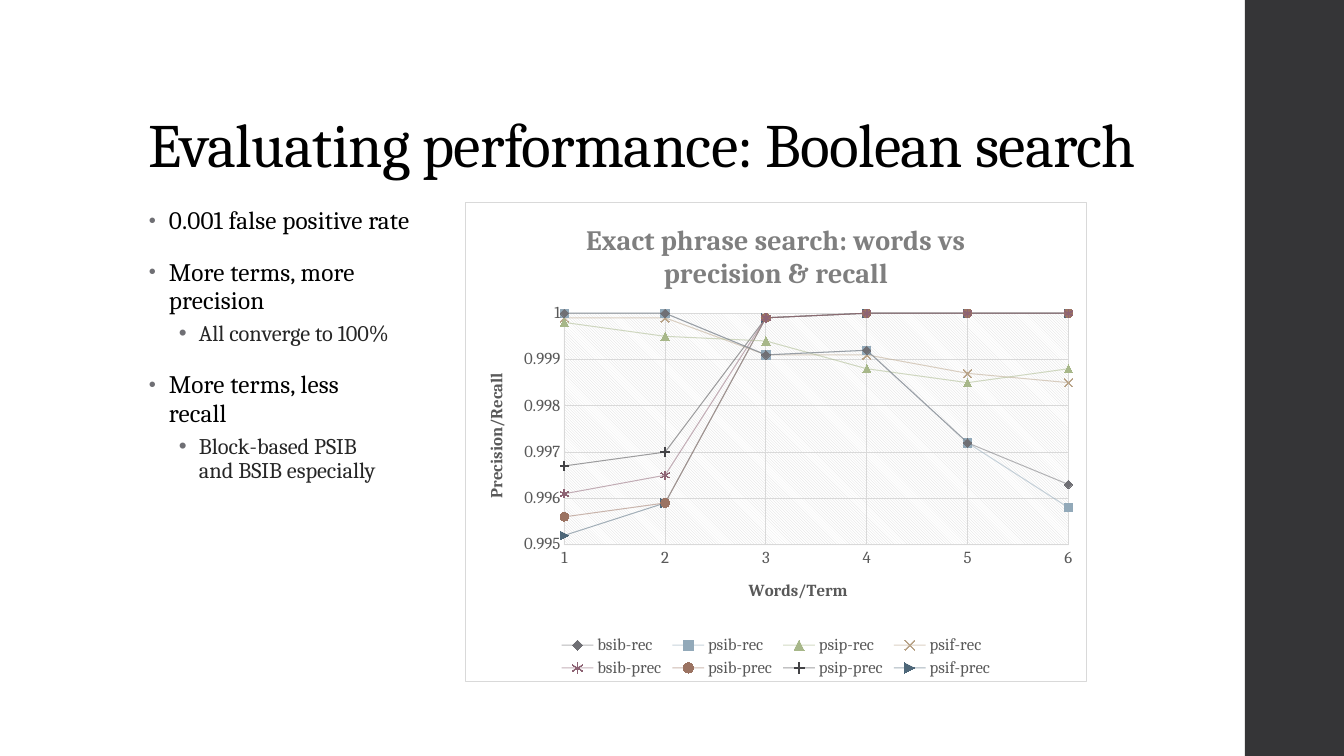
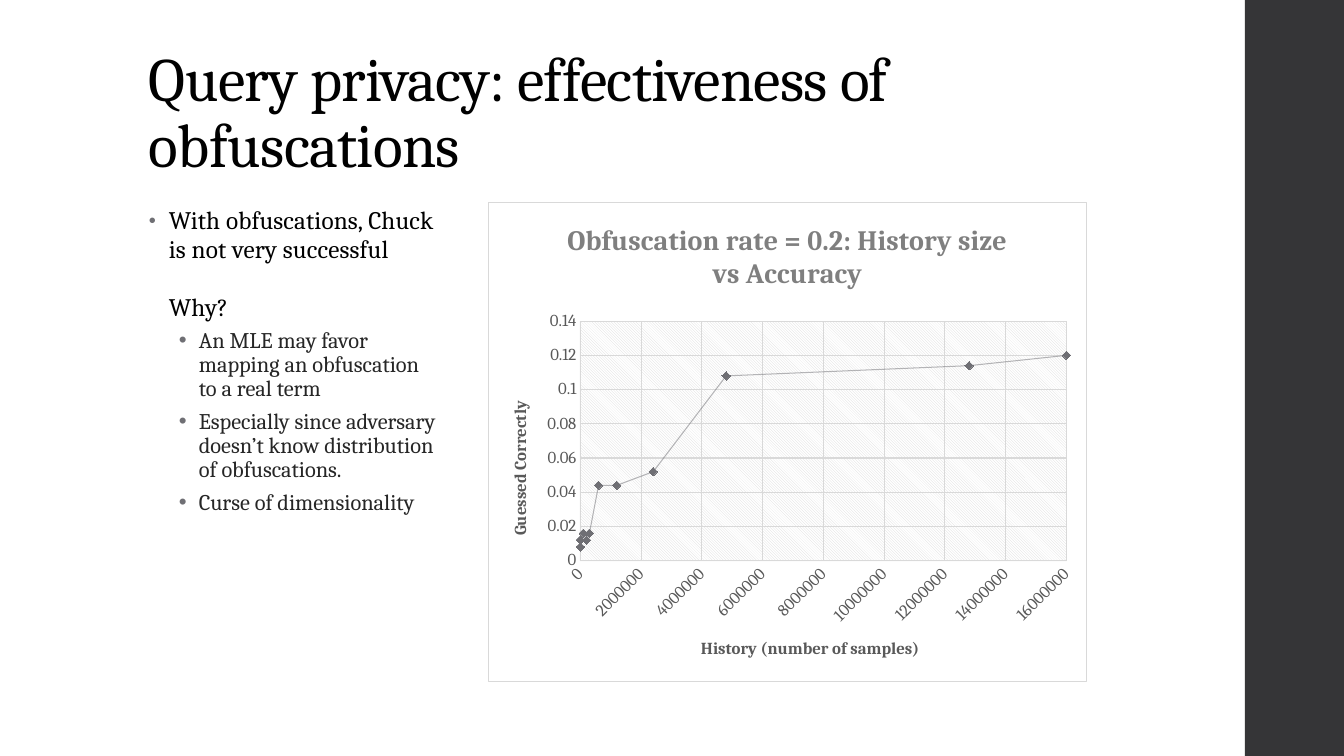
from copy import deepcopy
from dataclasses import dataclass

from lxml import etree
from pptx import Presentation
from pptx import util as u
from pptx.chart.data import XyChartData
from pptx.dml.color import RGBColor
from pptx.enum import chart as charts, shapes, text
from pptx.oxml import parse_xml
from pptx.oxml.ns import nsdecls, qn

PX = 914400 / 100.8


@dataclass(frozen=True)
class Theme:
    font: str = "Cambria"
    paper: str = "FFFFFF"
    band: str = "353537"
    ink: str = "000000"
    detail: str = "262626"
    bullet: str = "6F6F74"
    chart_title: str = "7F7F7F"
    axis: str = "595959"
    grid: str = "D9D9D9"
    title_size: int = 44
    chart_title_size: int = 20
    axis_size: int = 12
    hairline: float = 0.75
    marker_size: int = 6


THEME = Theme()

# Per outline level: size, colour, tracking, left indent, line spacing, before, after, bullet %
LEVELS = (
    (18, THEME.ink, 10, 20, 0.95, 14, 2, 80),
    (16, THEME.detail, 0, 50, 0.9, 3, 3, 100),
)
HANGING = 20

# left, top, width, height
SLIDE_SIZE = (1344, 756)
BAND_BOX = (1245, 0, 99, 756)
TITLE_BOX = (139, 40, 1068, 146)
BODY_BOX = (139, 202, 948, 480)

MARK = charts.XL_MARKER_STYLE
WORDS = (1, 2, 3, 4, 5, 6)
HISTORY = (0,) * 10 + (100000, 200000, 300000, 600000, 1200000, 2400000,
                       4800000, 12800000, 16000000)

# Series: name, colour, marker, x values, y values
SLIDES = [
    {
        "title": "Evaluating performance: Boolean search",
        "body": [
            (0, "0.001 false positive rate"),
            (0, "More terms, more\nprecision"),
            (1, "All converge to 100%"),
            (0, "More terms, less\nrecall"),
            (1, "Block-based PSIB\nand BSIB especially"),
        ],
        "chart": {
            "title": "Exact phrase search: words vs precision & recall",
            "box": (465, 202, 622, 480),
            "plot": (564, 313, 505, 232),
            "x": ("Words/Term", 1, 6, 1, 0),
            "y": ("Precision/Recall", 0.995, 1, 0.001, -90),
            "legend": True,
            "series": [
                ("bsib-rec", "6F6F74", MARK.DIAMOND, WORDS,
                 (1, 1, 0.9991, 0.9992, 0.9972, 0.9963)),
                ("psib-rec", "92A9B9", MARK.SQUARE, WORDS,
                 (1, 1, 0.9991, 0.9992, 0.9972, 0.9958)),
                ("psip-rec", "A7B789", MARK.TRIANGLE, WORDS,
                 (0.9998, 0.9995, 0.9994, 0.9988, 0.9985, 0.9988)),
                ("psif-rec", "B9A489", MARK.X, WORDS,
                 (0.9999, 0.9999, 0.9991, 0.9991, 0.9987, 0.9985)),
                ("bsib-prec", "8D6374", MARK.STAR, WORDS,
                 (0.9961, 0.9965, 0.9999, 1, 1, 1)),
                ("psib-prec", "9B7362", MARK.CIRCLE, WORDS,
                 (0.9956, 0.9959, 0.9999, 1, 1, 1)),
                ("psip-prec", "434346", MARK.PLUS, WORDS,
                 (0.9967, 0.997, 0.9999, 1, 1, 1)),
                ("psif-prec", "4E6779", MARK.DOT, WORDS,
                 (0.9952, 0.9959, 0.9999, 1, 1, 1)),
            ],
        },
    },
    {
        "title": "Query privacy: effectiveness of obfuscations",
        "body": [
            (0, "With obfuscations, Chuck\nis not very successful\n\nWhy?"),
            (1, "An MLE may favor\nmapping an obfuscation\nto a real term"),
            (1, "Especially since adversary\ndoesn’t know distribution\nof obfuscations."),
            (1, "Curse of dimensionality"),
        ],
        "chart": {
            "title": "Obfuscation rate = 0.2: History size vs Accuracy",
            "box": (488, 202, 599, 480),
            "plot": (580, 321, 487, 240),
            "x": ("History (number of samples)", 0, 16000000, 2000000, -45),
            "y": ("Guessed Correctly", 0, 0.14, 0.02, -90),
            "legend": False,
            "series": [
                ("Series 1", "6F6F74", MARK.DIAMOND, HISTORY,
                 (0.008, 0.008, 0.008, 0.008, 0.012, 0.012, 0.008, 0.008, 0.012, 0.012,
                  0.016, 0.012, 0.016, 0.044, 0.044, 0.052, 0.108, 0.114, 0.12)),
            ],
        },
    },
]


def emu(*lengths):
    return [u.Emu(round(length * PX)) for length in lengths]


def style_font(font, size, color, bold=False):
    font.name, font.size, font.bold = THEME.font, u.Pt(size), bold
    font.color.rgb = RGBColor.from_string(color)


def style_line(line, color, alpha=None):
    line.width = u.Pt(THEME.hairline)
    line.color.rgb = RGBColor.from_string(color)
    if alpha:
        srgb = line.fill._xPr.find(".//" + qn("a:srgbClr"))
        etree.SubElement(srgb, qn("a:alpha")).set("val", str(alpha * 1000))


def style_runs(paragraph, size, color, tracking):
    """Format the runs, and give line breaks the same character properties."""
    for run in paragraph.runs:
        style_font(run.font, size, color)
        run.font._element.set("spc", str(tracking))
    for line_break in paragraph._p.findall(qn("a:br")):
        line_break.insert(0, deepcopy(paragraph.runs[0].font._element))


def add_band(slide):
    band = slide.shapes.add_shape(shapes.MSO_SHAPE.RECTANGLE, *emu(*BAND_BOX))
    band.shadow.inherit = False
    band.fill.solid()
    band.fill.fore_color.rgb = RGBColor.from_string(THEME.band)
    band.line.fill.background()


def add_title(slide, wording):
    frame = slide.shapes.add_textbox(*emu(*TITLE_BOX)).text_frame
    frame.word_wrap = True
    frame.vertical_anchor = text.MSO_ANCHOR.BOTTOM
    frame.text = wording
    frame.paragraphs[0].line_spacing = 0.9
    style_runs(frame.paragraphs[0], THEME.title_size, THEME.ink, -50)


def add_body(slide, points):
    frame = slide.shapes.add_textbox(*emu(*BODY_BOX)).text_frame
    frame.word_wrap = True
    for index, (level, wording) in enumerate(points):
        point = frame.add_paragraph() if index else frame.paragraphs[0]
        size, color, tracking, indent, spacing, before, after, percent = LEVELS[level]
        point.text, point.level = wording, level
        point.line_spacing = spacing
        point.space_before, point.space_after = u.Pt(before), u.Pt(after)
        style_runs(point, size, color, tracking)
        left, hanging = emu(indent, HANGING)
        props = point._p.get_or_add_pPr()
        props.set("marL", str(left))
        props.set("indent", str(-hanging))
        bullet_color = etree.SubElement(props, qn("a:buClr"))
        etree.SubElement(bullet_color, qn("a:srgbClr")).set("val", THEME.bullet)
        for tag, key, value in (("a:buSzPct", "val", str(percent * 1000)),
                                ("a:buFont", "typeface", "Arial"),
                                ("a:buChar", "char", "•")):
            etree.SubElement(props, qn(tag)).set(key, value)


def style_axis(axis, wording, low, high, step, rotation):
    """Set scale, lines and labels; rotation turns the x labels or the y title."""
    axis.minimum_scale, axis.maximum_scale, axis.major_unit = low, high, step
    axis.major_tick_mark = axis.minor_tick_mark = charts.XL_TICK_MARK.NONE
    axis.has_major_gridlines = True
    style_line(axis.major_gridlines.format.line, THEME.grid)
    style_line(axis.format.line, THEME.grid, 54)
    axis.tick_labels.number_format = "General"
    axis.tick_labels.number_format_is_linked = False
    style_font(axis.tick_labels.font, THEME.axis_size, THEME.axis)
    title = axis.axis_title.text_frame
    title.text = wording
    style_font(title.paragraphs[0].runs[0].font, THEME.axis_size, THEME.axis, True)
    vertical = rotation == -90
    turned = title._txBody if vertical else axis._element.find(qn("c:txPr"))
    turned.find(qn("a:bodyPr")).set("rot", str(rotation * 60000))


def set_plot_area(chart, box, plot):
    """Fix the inner plot rectangle and fill it with a light hatch."""
    area = chart._chartSpace.chart.plotArea
    for layout in area.findall(qn("c:layout")):
        area.remove(layout)
    fractions = ((plot[0] - box[0]) / box[2], (plot[1] - box[1]) / box[3],
                 plot[2] / box[2], plot[3] / box[3])
    sides = "".join(f'<c:{side} val="{value:.4f}"/>' for side, value in zip("xywh", fractions))
    area.insert(0, parse_xml(
        f'<c:layout {nsdecls("c")}><c:manualLayout><c:layoutTarget val="inner"/>'
        f'<c:xMode val="edge"/><c:yMode val="edge"/>{sides}</c:manualLayout></c:layout>'))
    area.append(parse_xml(
        f'<c:spPr {nsdecls("c", "a")}><a:pattFill prst="ltDnDiag">'
        f'<a:fgClr><a:srgbClr val="{THEME.grid}"/></a:fgClr>'
        f'<a:bgClr><a:srgbClr val="{THEME.paper}"/></a:bgClr></a:pattFill></c:spPr>'))


def set_frame(chart):
    chart._chartSpace.chart.addnext(parse_xml(
        f'<c:spPr {nsdecls("c", "a")}><a:solidFill><a:srgbClr val="{THEME.paper}"/></a:solidFill>'
        f'<a:ln w="{u.Pt(THEME.hairline)}"><a:solidFill><a:srgbClr val="{THEME.grid}"/>'
        f'</a:solidFill></a:ln></c:spPr>'))


def add_scatter(slide, content):
    data = XyChartData()
    for name, _, _, xs, ys in content["series"]:
        series = data.add_series(name)
        for x, y in zip(xs, ys):
            series.add_data_point(x, y)
    chart = slide.shapes.add_chart(charts.XL_CHART_TYPE.XY_SCATTER_LINES,
                                   *emu(*content["box"]), data).chart
    style_font(chart.font, 10, THEME.ink)
    chart.has_title = True
    heading = chart.chart_title.text_frame
    heading.text = content["title"]
    style_font(heading.paragraphs[0].runs[0].font, THEME.chart_title_size,
               THEME.chart_title, True)
    chart.has_legend = content["legend"]
    if chart.has_legend:
        chart.legend.position = charts.XL_LEGEND_POSITION.BOTTOM
        chart.legend.include_in_layout = False
        style_font(chart.legend.font, THEME.axis_size, THEME.axis)
    style_axis(chart.category_axis, *content["x"])
    style_axis(chart.value_axis, *content["y"])
    plot = chart.plots[0]
    plot.vary_by_categories = False
    for series, (_, color, mark, _, _) in zip(plot.series, content["series"]):
        series.smooth = False
        style_line(series.format.line, color, 50)
        series.marker.style, series.marker.size = mark, THEME.marker_size
        series.marker.format.fill.solid()
        series.marker.format.fill.fore_color.rgb = RGBColor.from_string(color)
        style_line(series.marker.format.line, color)
    set_plot_area(chart, content["box"], content["plot"])
    set_frame(chart)


def main():
    deck = Presentation()
    deck.slide_width, deck.slide_height = emu(*SLIDE_SIZE)
    for content in SLIDES:
        slide = deck.slides.add_slide(deck.slide_layouts[6])
        add_band(slide)
        add_title(slide, content["title"])
        add_body(slide, content["body"])
        add_scatter(slide, content["chart"])
    deck.save("out.pptx")


if __name__ == "__main__":
    main()
